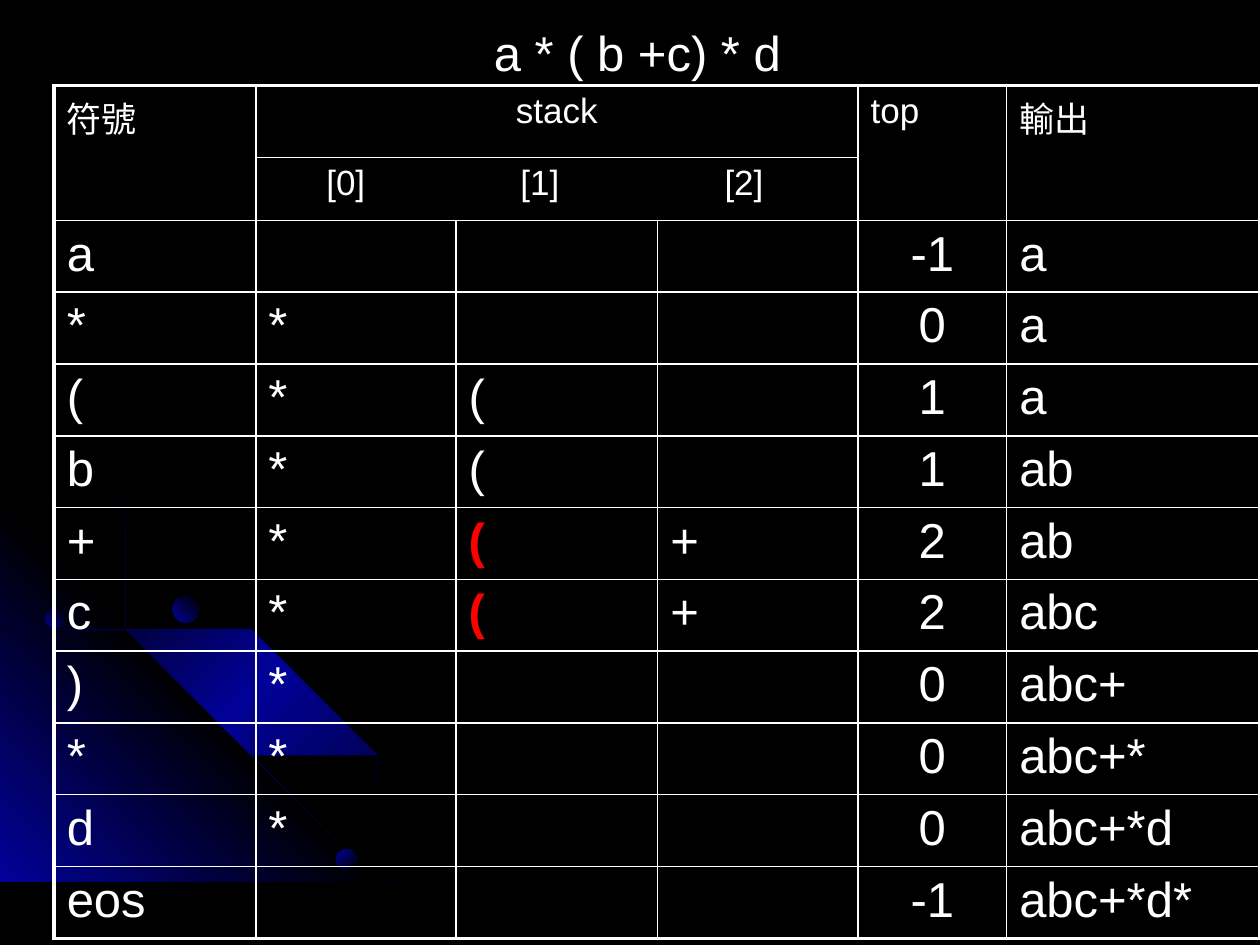
from dataclasses import dataclass

from lxml.etree import SubElement
from pptx import Presentation
from pptx.dml.color import RGBColor
from pptx.enum.shapes import MSO_SHAPE as Preset
from pptx.enum.text import MSO_ANCHOR as Anchor, MSO_AUTO_SIZE as AutoSize, PP_ALIGN as Align
from pptx.oxml.ns import qn
from pptx.util import Inches, Pt


@dataclass(frozen=True)
class Theme:
    """Colours, type sizes and line widths of the slide."""
    ground: str = "000000"
    ink: str = "FFFFFF"
    glow: str = "010199"
    alert: str = "FF0000"
    font: str = "Arial"
    large: int = 28
    small: int = 20
    frame: float = 2.25
    rule: float = 1


THEME = Theme()
GRID_COLS, GRID_ROWS = 10, 7.5
CELL = Inches(1)
COL_WIDTHS = [1.6, 1.59, 1.6, 1.59, 1.18, 2.01]
ROW_HEIGHTS = [0.57, 0.5] + [0.57] * 10
TOP_COL = 4
TAB_STOPS = [0.46, 2, 3.62]
HEADINGS = [
    (0, 0, 1, 0, "符號", Align.LEFT),
    (0, 1, 0, 3, "stack", Align.CENTER),
    (0, 4, 1, 4, "top", Align.LEFT),
    (0, 5, 1, 5, "輸出", Align.LEFT),
    (1, 1, 1, 3, "\t[0]\t[1]\t[2]", Align.LEFT),
]
STEPS = [
    ("a", "", "", "", "-1", "a"),
    ("*", "*", "", "", "0", "a"),
    ("(", "*", "(", "", "1", "a"),
    ("b", "*", "(", "", "1", "ab"),
    ("+", "*", "(", "+", "2", "ab"),
    ("c", "*", "(", "+", "2", "abc"),
    (")", "*", "", "", "0", "abc+"),
    ("*", "*", "", "", "0", "abc+*"),
    ("d", "*", "", "", "0", "abc+*d"),
    ("eos", "", "", "", "-1", "abc+*d*"),
]
BLOCKED = {(4, 2), (5, 2)}
OUTER_ARC = [
    (0, 4.35), (0.28, 4.41), (0.57, 4.47), (0.98, 4.59), (1.36, 4.77), (1.74, 4.97),
    (2.09, 5.21), (2.42, 5.48), (2.72, 5.78), (3, 6.11), (3.25, 6.48), (3.39, 6.73),
    (3.52, 6.98), (3.62, 7.23), (3.72, 7.49),
]
INNER_ARC = [
    (0, 4.75), (0.41, 4.88), (0.79, 5.05), (1.17, 5.26), (1.52, 5.49), (1.84, 5.76),
    (2.15, 6.06), (2.42, 6.4), (2.66, 6.76), (2.86, 7.12), (2.96, 7.3), (3.03, 7.49),
]
MIDDLE_ARC = [
    (0, 4.42), (0.39, 4.55), (0.76, 4.73), (1.11, 4.93), (1.44, 5.16), (1.75, 5.43),
    (2.04, 5.73), (2.29, 6.03), (2.54, 6.39), (2.69, 6.65), (2.82, 6.93), (2.94, 7.2),
    (3.03, 7.49),
]
CORNER = [(3.22, 7.49), (0, 7.49), (0, 4.27)]
PLANETS = [(0.36, 4.83, 0.15, 315), (2.67, 6.74, 0.16, 45), (1.37, 4.73, 0.21, 315)]


def grid(*counts):
    """Turn counts of grid columns or rows into lengths."""
    return [round(count * CELL) for count in counts]


def apply(target, formats):
    """Set each attribute named in formats."""
    for key, value in formats.items():
        setattr(target, key, value)


def style_font(font, size, color=THEME.ink, bold=False):
    """Give a font its face, size, weight and colour."""
    apply(font, {"name": THEME.font, "size": Pt(size), "bold": bold})
    font.color.rgb = RGBColor.from_string(color)


def glow_fill(shape, colors, angle):
    """Fill a shape with evenly spaced gradient colours and no line."""
    shape.shadow.inherit = False
    shape.line.fill.background()
    shape.fill.gradient()
    shape.fill.gradient_angle = 360 - angle
    stops = shape._element.spPr.find(".//" + qn("a:gsLst"))
    for stop in list(stops):
        stops.remove(stop)
    for index, color in enumerate(colors):
        position = 100000 * index // (len(colors) - 1)
        stop = SubElement(stops, qn("a:gs"), pos=str(position))
        SubElement(stop, qn("a:srgbClr"), val=color)


def add_outline(slide, points, colors, angle):
    """Draw a closed, glowing outline."""
    builder = slide.shapes.build_freeform(*points[0], scale=CELL)
    builder.add_line_segments(points[1:], close=True)
    glow_fill(builder.convert_to_shape(), colors, angle)


def add_orbit(slide, edge, thickness=0.02):
    """Draw a thin arc between an edge and the same edge moved inwards."""
    inside = [(max(0, x - thickness), min(7.49, y + thickness)) for x, y in reversed(edge)]
    add_outline(slide, edge + inside, [THEME.ground, THEME.glow, THEME.ground], 45)


def add_planet(slide, left, top, size, angle):
    """Draw a glowing ball."""
    planet = slide.shapes.add_shape(Preset.OVAL, *grid(left, top, size, size))
    glow_fill(planet, [THEME.glow, THEME.ground], angle)


def add_title(slide, text):
    """Place the expression above the table."""
    title = slide.shapes.title
    apply(title, dict(zip(("left", "top", "width", "height"), grid(3.82, 0.13, 2.51, 0.57))))
    frame = title.text_frame
    frame.text = text
    apply(frame, {"word_wrap": False, "auto_size": AutoSize.SHAPE_TO_FIT_TEXT,
                  "vertical_anchor": Anchor.TOP})
    frame.paragraphs[0].alignment = Align.LEFT
    style_font(frame.paragraphs[0].runs[0].font, THEME.large)


def rule_cell(cell, row, col):
    """Draw the cell's borders, heavier on the table's rim, and clear its fill."""
    properties = cell._tc.get_or_add_tcPr()
    on_rim = {"lnL": col == 0, "lnR": col == len(COL_WIDTHS) - 1,
              "lnT": row == 0, "lnB": row == len(ROW_HEIGHTS) - 1}
    for side, rim in on_rim.items():
        width = Pt(THEME.frame if rim else THEME.rule)
        line = SubElement(properties, qn("a:" + side), w=str(width))
        SubElement(SubElement(line, qn("a:solidFill")), qn("a:srgbClr"), val=THEME.ink)
    cell.fill.background()


def write_cell(cell, text, size, align, color=THEME.ink, bold=False):
    """Write one formatted paragraph into a cell."""
    paragraph = cell.text_frame.paragraphs[0]
    paragraph.alignment = align
    entry = paragraph.add_run()
    entry.text = text
    style_font(entry.font, size, color, bold)
    properties = paragraph._p.get_or_add_pPr()
    SubElement(SubElement(properties, qn("a:spcBef")), qn("a:spcPct"), val="20000")
    if "\t" in text:
        tabs = SubElement(properties, qn("a:tabLst"))
        for stop in grid(*TAB_STOPS):
            SubElement(tabs, qn("a:tab"), pos=str(stop), algn="l")


def add_trace(slide):
    """Build the table that traces the stack symbol by symbol."""
    bounds = grid(0.43, 0.68, sum(COL_WIDTHS), sum(ROW_HEIGHTS))
    trace = slide.shapes.add_table(len(ROW_HEIGHTS), len(COL_WIDTHS), *bounds).table
    apply(trace, {"first_row": False, "horz_banding": False})
    for column, width in zip(trace.columns, grid(*COL_WIDTHS)):
        column.width = width
    for line, height in zip(trace.rows, grid(*ROW_HEIGHTS)):
        line.height = height
    for row in range(len(ROW_HEIGHTS)):
        for col in range(len(COL_WIDTHS)):
            rule_cell(trace.cell(row, col), row, col)
    for row, col, last_row, last_col, text, align in HEADINGS:
        heading = trace.cell(row, col)
        if (row, col) != (last_row, last_col):
            heading.merge(trace.cell(last_row, last_col))
        write_cell(heading, text, THEME.small, align)
    for step, entries in enumerate(STEPS):
        for col, text in enumerate(entries):
            if text:
                blocked = (step, col) in BLOCKED
                align = Align.CENTER if col == TOP_COL else Align.LEFT
                write_cell(trace.cell(step + 2, col), text, THEME.large, align,
                           THEME.alert if blocked else THEME.ink, blocked)


def main():
    """Build and save the slide."""
    deck = Presentation()
    deck.slide_width, deck.slide_height = grid(GRID_COLS, GRID_ROWS)
    slide = deck.slides.add_slide(deck.slide_layouts[5])
    slide.background.fill.solid()
    slide.background.fill.fore_color.rgb = RGBColor.from_string(THEME.ground)
    add_orbit(slide, OUTER_ARC)
    add_outline(slide, CORNER, [THEME.glow, THEME.ground, THEME.glow], 315)
    for arc in (INNER_ARC, MIDDLE_ARC):
        add_orbit(slide, arc)
    for planet in PLANETS:
        add_planet(slide, *planet)
    add_trace(slide)
    add_title(slide, "a * ( b +c) * d")
    deck.save("out.pptx")


if __name__ == "__main__":
    main()
